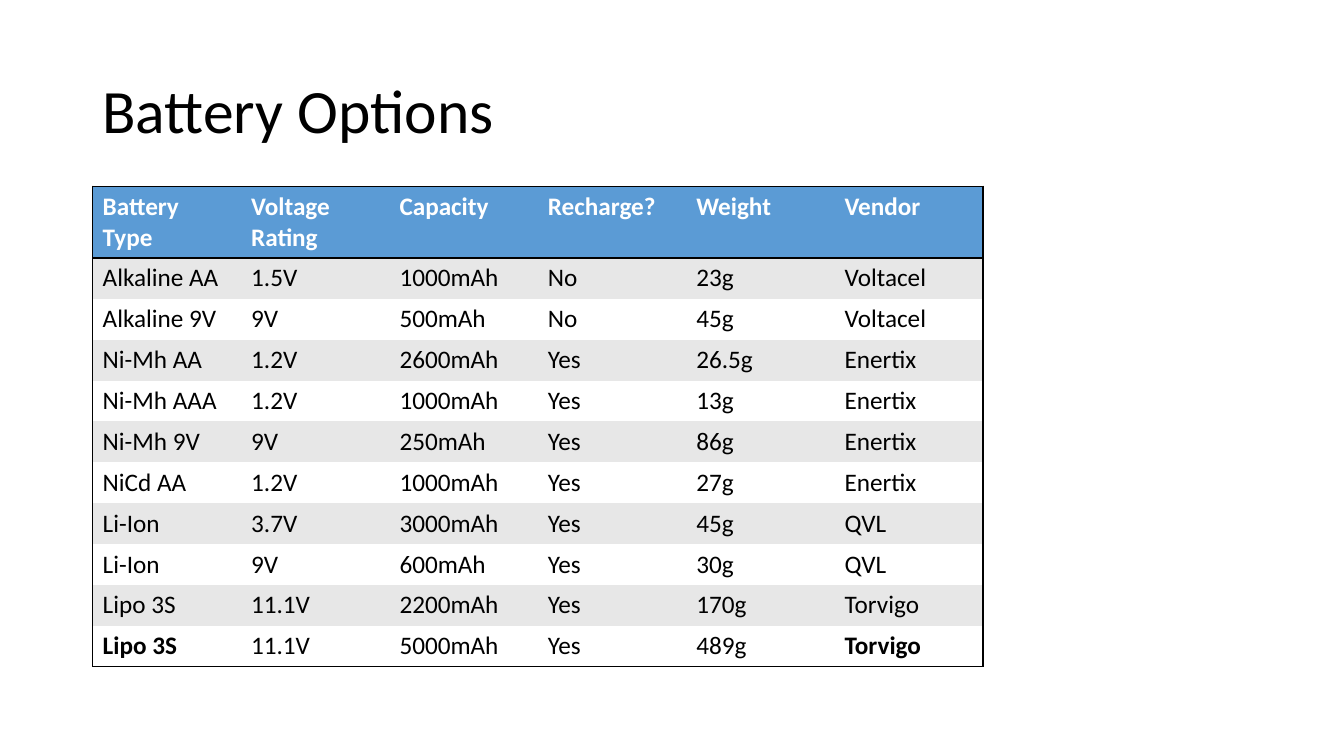
from lxml.etree import SubElement
from pptx import Presentation
from pptx.dml.color import RGBColor as RGB
from pptx.enum.text import MSO_ANCHOR as Anchor, PP_ALIGN as Align
from pptx.oxml.ns import qn
from pptx.util import Pt

COLORS = {"header": "5B9BD5", "band": "E7E7E7", "plain": "FFFFFF",
          "ink": "000000", "header_text": "FFFFFF"}
LEFT, COLUMN_WIDTH = 66.2, 106
HEADER_HEIGHT, ROW_HEIGHT = 51.2, 29.2

batteries = [
    ("Battery Type", "Voltage Rating", "Capacity", "Recharge?", "Weight", "Vendor"),
    ("Alkaline AA", "1.5V", "1000mAh", "No", "23g", "Voltacel"),
    ("Alkaline 9V", "9V", "500mAh", "No", "45g", "Voltacel"),
    ("Ni-Mh AA", "1.2V", "2600mAh", "Yes", "26.5g", "Enertix"),
    ("Ni-Mh AAA", "1.2V", "1000mAh", "Yes", "13g", "Enertix"),
    ("Ni-Mh 9V", "9V", "250mAh", "Yes", "86g", "Enertix"),
    ("NiCd AA", "1.2V", "1000mAh", "Yes", "27g", "Enertix"),
    ("Li-Ion", "3.7V", "3000mAh", "Yes", "45g", "QVL"),
    ("Li-Ion", "9V", "600mAh", "Yes", "30g", "QVL"),
    ("Lipo 3S", "11.1V", "2200mAh", "Yes", "170g", "Torvigo"),
    ("Lipo 3S", "11.1V", "5000mAh", "Yes", "489g", "Torvigo"),
]
last_row, last_column = len(batteries) - 1, len(batteries[0]) - 1


def style_font(font, color, formats):
    for attribute, value in formats.items():
        setattr(font, attribute, value)
    font.color.rgb = RGB.from_string(COLORS[color])


def set_border(cell, side, width):
    properties = cell._tc.get_or_add_tcPr()
    line = SubElement(properties, qn(f"a:ln{side}"), w=str(Pt(width)))
    if width:
        fill = SubElement(line, qn("a:solidFill"))
        SubElement(fill, qn("a:srgbClr"), val=COLORS["ink"])
    else:
        SubElement(line, qn("a:noFill"))


prs = Presentation()
prs.slide_width, prs.slide_height = Pt(960), Pt(540)
slide = prs.slides.add_slide(prs.slide_layouts[5])

heading = slide.shapes.title
for attribute, value in {"left": 66, "top": 28.8, "width": 828, "height": 104.4}.items():
    setattr(heading, attribute, Pt(value))
heading.text_frame.text = "Battery Options"
heading.text_frame.vertical_anchor = Anchor.MIDDLE
heading_line = heading.text_frame.paragraphs[0]
heading_line.alignment = Align.LEFT
heading_line.line_spacing = 0.9
style_font(heading_line.runs[0].font, "ink", {"name": "Calibri", "size": Pt(44)})

options = slide.shapes.add_table(
    len(batteries), len(batteries[0]), Pt(LEFT), Pt(133),
    Pt(COLUMN_WIDTH * len(batteries[0])), Pt(HEADER_HEIGHT + ROW_HEIGHT * last_row)).table
for column in options.columns:
    column.width = Pt(COLUMN_WIDTH)

for r, battery in enumerate(batteries):
    options.rows[r].height = Pt(ROW_HEIGHT if r else HEADER_HEIGHT)
    background = "header" if r == 0 else "band" if r % 2 else "plain"
    for c, value in enumerate(battery):
        cell = options.cell(r, c)
        cell.text = value
        borders = {
            "L": 1 if c == 0 else 0,
            "R": 1 if c == last_column else 0,
            "T": {0: 1, 1: 2}.get(r, 0),
            "B": {0: 2, last_row: 1}.get(r, 0),
        }
        for side, width in borders.items():
            set_border(cell, side, width)
        cell.fill.solid()
        cell.fill.fore_color.rgb = RGB.from_string(COLORS[background])
        bold = r == 0 or (r == last_row and c in (0, last_column))
        style_font(cell.text_frame.paragraphs[0].runs[0].font,
                   "ink" if r else "header_text",
                   {"name": "Calibri", "size": Pt(18), "bold": bold})

prs.save("out.pptx")
